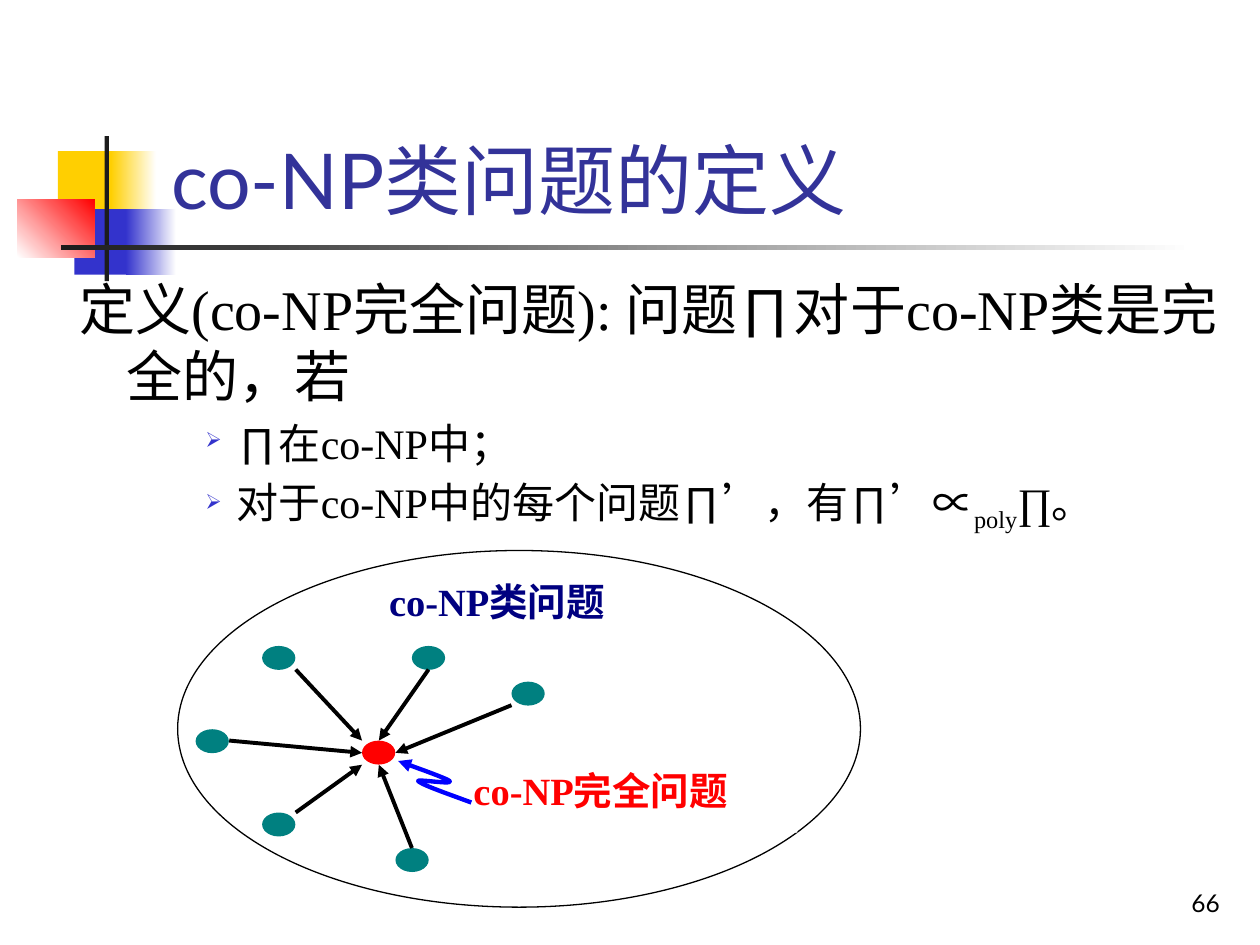
from dataclasses import dataclass
from typing import Optional

from lxml.etree import SubElement
from pptx import Presentation
from pptx.dml.color import RGBColor
from pptx.enum.shapes import MSO_CONNECTOR, MSO_SHAPE
from pptx.enum.text import MSO_ANCHOR, PP_ALIGN
from pptx.oxml.ns import qn
from pptx.util import Pt

BLACK = RGBColor(0x00, 0x00, 0x00)
WHITE = RGBColor(0xFF, 0xFF, 0xFF)
CHARCOAL = RGBColor(0x1C, 0x1C, 0x1C)
YELLOW = RGBColor(0xFF, 0xCF, 0x01)
BLUE = RGBColor(0x33, 0x33, 0xCC)
INDIGO = RGBColor(0x33, 0x33, 0x99)
NAVY = RGBColor(0x00, 0x00, 0x80)
RED = RGBColor(0xFF, 0x00, 0x00)
TEAL = RGBColor(0x00, 0x80, 0x80)
CURVE_BLUE = RGBColor(0x00, 0x00, 0xFF)
SERIF, SANS, HAN = "Times New Roman", "Lato", "Noto Sans CJK SC"
NODE_WIDTH, NODE_HEIGHT = 19, 13.7
CURVE_STEPS = 10


@dataclass(frozen=True)
class Box:
    left: float
    top: float
    width: float
    height: float

    def lengths(self):
        return Pt(self.left), Pt(self.top), Pt(self.width), Pt(self.height)


@dataclass(frozen=True)
class Block:
    box: Box
    start: RGBColor
    end: Optional[RGBColor] = None
    angle: float = 0


@dataclass(frozen=True)
class Label:
    box: Box
    topic: str
    color: RGBColor


@dataclass(frozen=True)
class Problem:
    left: float
    top: float
    spoke_start: tuple[float, float]
    spoke_end: tuple[float, float]


ORNAMENT = [
    Block(Box(33.1, 86.4, 34.6, 37.4), YELLOW),
    Block(Box(63.4, 86.4, 25.9, 37.4), YELLOW, WHITE),
    Block(Box(42.5, 119.5, 33.1, 37.4), BLUE),
    Block(Box(72, 119.5, 28.8, 37.4), BLUE, WHITE),
    Block(Box(10, 113.8, 44, 33.1), WHITE, RED, 45),
    Block(Box(59.8, 77.8, 2.5, 82.8), CHARCOAL),
    Block(Box(34.6, 140.2, 648, 2.5), CHARCOAL, WHITE),
]
LABELS = [
    Label(Box(215.3, 326.9, 147.6, 41), "类问题", NAVY),
    Label(Box(263.5, 434.9, 192.2, 41), "完全问题", RED),
]
PROBLEMS = [
    Problem(149.8, 369.1, (169, 382.6), (206.9, 423.2)),
    Problem(235.4, 369.1, (244.9, 382.6), (216.5, 423.2)),
    Problem(292.3, 389.5, (292.3, 403), (226, 430.2)),
    Problem(111.8, 416.7, (131, 423.2), (206.9, 430.2)),
    Problem(149.8, 464.3, (169, 464.3), (206.9, 437)),
    Problem(226, 484.6, (235.4, 484.6), (216.5, 437)),
]
POINTER = [
    ((269.3, 458.6), (255.6, 453.6), (241.2, 448.6), (239, 446.4)),
    ((239, 446.4), (237.6, 445), (259.2, 448.6), (257, 446.4)),
    ((257, 446.4), (255.6, 445), (241.2, 439.9), (227.5, 434.9)),
]
CONDITIONS = [
    ["∏在co-NP中；"],
    ["对于co-NP中的每个问题∏’，有∏’∝", "poly", "∏。"],
]


def add_preset(slide, preset, box: Box, color: RGBColor):
    shape = slide.shapes.add_shape(preset, *box.lengths())
    shape.shadow.inherit = False
    shape.fill.solid()
    shape.fill.fore_color.rgb = color
    shape.line.fill.background()
    return shape


def add_block(slide, block: Block) -> None:
    shape = add_preset(slide, MSO_SHAPE.RECTANGLE, block.box, block.start)
    if block.end is not None:
        shape.fill.gradient()
        shape.fill.gradient_angle = block.angle
        for stop, color in zip(shape.fill.gradient_stops, (block.start, block.end)):
            stop.color.rgb = color


def style(paragraph, size: float, face: str, color: RGBColor, bold: bool = False) -> None:
    font = paragraph.font
    font.size, font.name, font.bold = Pt(size), face, bold
    font.color.rgb = color
    SubElement(font._element, qn("a:ea"), typeface=HAN)


def add_text_frame(slide, box: Box, anchor=MSO_ANCHOR.TOP):
    frame = slide.shapes.add_textbox(*box.lengths()).text_frame
    frame.word_wrap = True
    frame.vertical_anchor = anchor
    return frame


def indent(paragraph, margin: float, first: float):
    properties = paragraph._p.get_or_add_pPr()
    properties.set("marL", str(Pt(margin)))
    properties.set("indent", str(Pt(first)))
    return properties


def add_condition(frame, parts: list[str]) -> None:
    paragraph = frame.add_paragraph()
    paragraph.level = 2
    properties = indent(paragraph, 90, -18)
    bullet_color = SubElement(properties, qn("a:buClr"))
    SubElement(bullet_color, qn("a:srgbClr"), val=str(BLUE))
    SubElement(properties, qn("a:buSzPct"), val="50000")
    SubElement(properties, qn("a:buChar"), char="➢")
    paragraph.space_before = Pt(4.8)
    for part in parts:
        run = paragraph.add_run()
        run.text = part
        if part == "poly":
            run.font._element.set("baseline", "-25000")
    style(paragraph, 24, SERIF, BLACK)


def add_label(slide, label: Label) -> None:
    frame = add_preset(slide, MSO_SHAPE.RECTANGLE, label.box, WHITE).text_frame
    frame.word_wrap = True
    frame.vertical_anchor = MSO_ANCHOR.TOP
    paragraph = frame.paragraphs[0]
    paragraph.alignment = PP_ALIGN.JUSTIFY
    for text, face in (("co-NP", SERIF), (label.topic, HAN)):
        run = paragraph.add_run()
        run.text, run.font.name = text, face
    style(paragraph, 22, SERIF, label.color, bold=True)


def add_node(slide, left: float, top: float, color: RGBColor) -> None:
    add_preset(slide, MSO_SHAPE.OVAL, Box(left, top, NODE_WIDTH, NODE_HEIGHT), color)


def style_arrow(arrow, color: RGBColor, width: float) -> None:
    arrow.line.color.rgb = color
    arrow.line.width = Pt(width)
    SubElement(arrow.line._get_or_add_ln(), qn("a:tailEnd"), type="triangle")


def add_spoke(slide, problem: Problem) -> None:
    ends = [Pt(value) for value in problem.spoke_start + problem.spoke_end]
    spoke = slide.shapes.add_connector(MSO_CONNECTOR.STRAIGHT, *ends)
    style_arrow(spoke, BLACK, 2.25)
    SubElement(spoke._element.spPr, qn("a:effectLst"))


def bezier_point(curve, t: float) -> tuple[int, int]:
    weights = ((1 - t) ** 3, 3 * t * (1 - t) ** 2, 3 * t**2 * (1 - t), t**3)
    x, y = (sum(w * p[axis] for w, p in zip(weights, curve)) for axis in (0, 1))
    return Pt(x), Pt(y)


def add_pointer(slide) -> None:
    start, *rest = [bezier_point(POINTER[0], 0)] + [
        bezier_point(curve, step / CURVE_STEPS)
        for curve in POINTER
        for step in range(1, CURVE_STEPS + 1)
    ]
    builder = slide.shapes.build_freeform(*start)
    builder.add_line_segments(rest, close=False)
    pointer = builder.convert_to_shape()
    pointer.shadow.inherit = False
    pointer.fill.background()
    style_arrow(pointer, CURVE_BLUE, 2.5)


def main() -> None:
    """Build the slide defining co-NP-complete problems."""
    deck = Presentation()
    deck.slide_width, deck.slide_height = Pt(720), Pt(540)
    slide = deck.slides.add_slide(deck.slide_layouts[6])
    for block in ORNAMENT:
        add_block(slide, block)

    title = add_text_frame(slide, Box(90.7, 16.6, 613.4, 115.2), MSO_ANCHOR.BOTTOM).paragraphs[0]
    title.text = "co-NP类问题的定义"
    style(title, 44, SANS, INDIGO)

    body = add_text_frame(slide, Box(38.2, 153.4, 666, 356.4))
    definition = body.paragraphs[0]
    definition.text = "定义(co-NP完全问题): 问题∏对于co-NP类是完全的，若"
    indent(definition, 27, -27)
    style(definition, 32, SERIF, BLACK)
    for parts in CONDITIONS:
        add_condition(body, parts)

    co_np_class = add_preset(slide, MSO_SHAPE.OVAL, Box(101.5, 314.6, 390.2, 203.8), WHITE)
    co_np_class.line.color.rgb = BLACK
    co_np_class.line.width = Pt(0.75)
    for label in LABELS:
        add_label(slide, label)
    for problem in PROBLEMS:
        add_node(slide, problem.left, problem.top, TEAL)
    add_node(slide, 206.9, 423.2, RED)
    for problem in PROBLEMS:
        add_spoke(slide, problem)
    add_pointer(slide)

    page = add_text_frame(slide, Box(554.4, 491.8, 149.8, 36), MSO_ANCHOR.BOTTOM).paragraphs[0]
    page.text = "66"
    page.alignment = PP_ALIGN.RIGHT
    style(page, 14, SANS, BLACK)
    deck.save("out.pptx")


if __name__ == "__main__":
    main()
